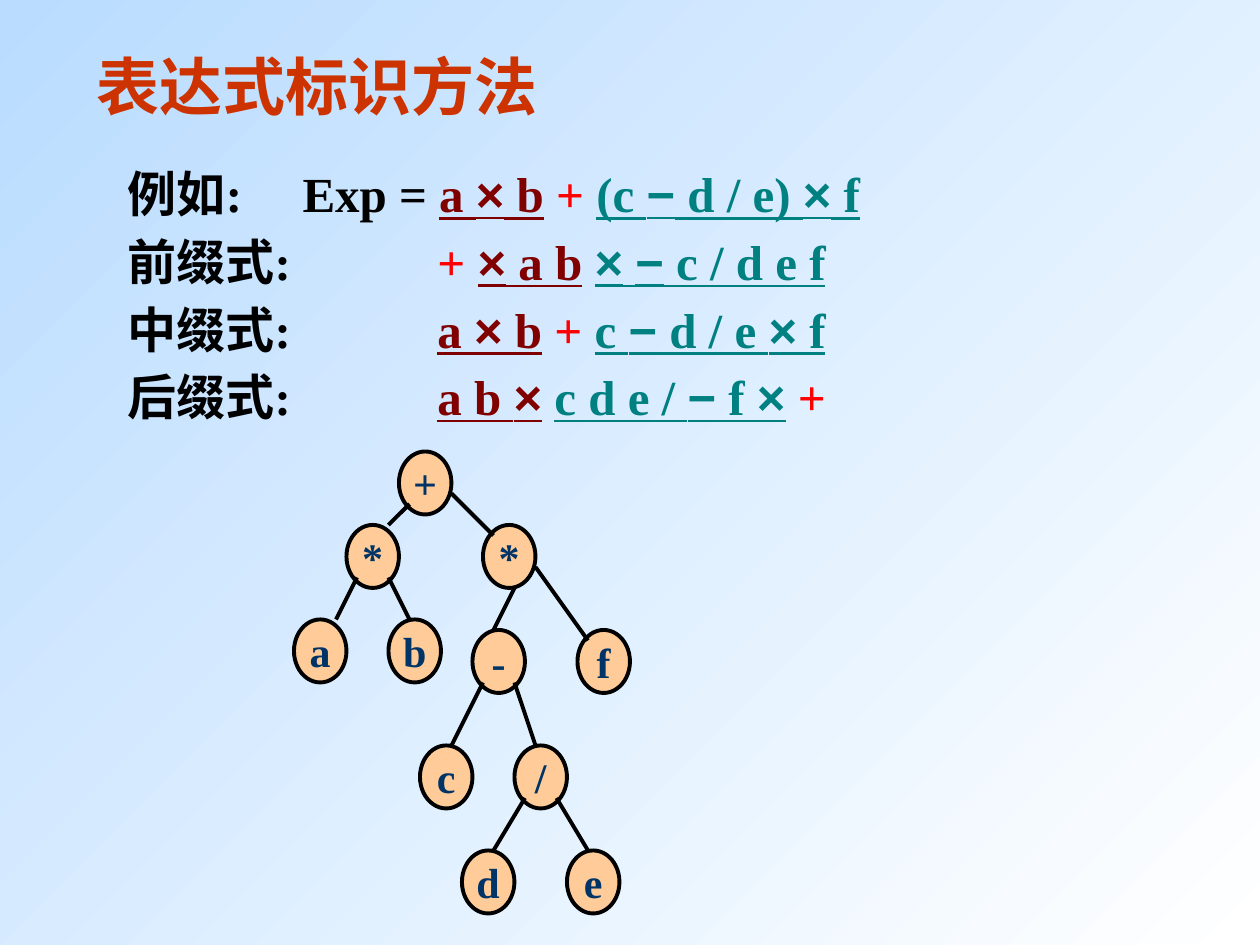
from itertools import groupby

from lxml import etree
from pptx import Presentation
from pptx import util as u
from pptx.dml.color import RGBColor
from pptx.enum import shapes, text
from pptx.oxml.ns import qn

HUES = {
    "ink": "000000", "title": "CC3300", "left": "800000", "right": "008080",
    "root": "FF0000", "node": "FFCC99", "label": "003366",
    "white": "FFFFFF", "sky": "B9DCFF",
}
SERIF, SANS = "Times New Roman", "Arial"
SIGNS = "×−"

# Each row: tab stop in cm, then (text, colour) spans
ROWS = [
    (3.52, [("例如:\tExp = ", "ink"), ("a × b", "left"), (" ", "ink"),
            ("+ ", "root"), ("(c − d / e) × f", "right")]),
    (6.24, [("前缀式:\t", "ink"), ("+ ", "root"), ("× a b", "left"),
            (" ", "ink"), ("× − c / d e f", "right")]),
    (6.24, [("中缀式:\t", "ink"), ("a × b", "left"), (" ", "ink"),
            ("+ ", "root"), ("c − d / e × f", "right")]),
    (6.24, [("后缀式:\t", "ink"), ("a b ×", "left"), (" ", "ink"),
            ("c d e / − f ×", "right"), (" ", "ink"), ("+", "root")]),
]

# The tree sits on a grid of twelfths of an inch
NODES = [
    ("+", 38, 43), ("*", 33, 50), ("*", 46, 50), ("a", 28, 59), ("b", 37, 59),
    ("-", 45, 60), ("f", 55, 60), ("c", 40, 71), ("/", 49, 71),
    ("d", 44, 81), ("e", 54, 81),
]
EDGES = [
    (39, 48, 37, 50), (43, 47, 47, 51), (34, 55, 32, 59), (37, 55, 39, 59),
    (49, 56, 47, 60), (51, 54, 56, 61), (46, 65, 43, 71), (49, 65, 51, 71),
    (50, 76, 47, 81), (53, 76, 56, 81),
]


def hue(key):
    return RGBColor.from_string(HUES[key])


def grid(*steps):
    """Turn grid steps into lengths."""
    return [u.Cm(2.54 * n / 12) for n in steps]


def add_run(para, words, key, size, face=SERIF, under=None):
    run = para.add_run()
    run.text = words
    font = run.font
    font.name, font.size, font.bold = face, u.Pt(size), True
    font.underline = under
    font.color.rgb = hue(key)


def add_span(para, words, key):
    """Add words in one colour, with the math signs in the sans face."""
    under = True if key in ("left", "right") else None
    for sign, part in groupby(words, lambda c: c in SIGNS):
        add_run(para, "".join(part), key, 28, SANS if sign else SERIF, under)


def add_tab(para, stop):
    tabs = etree.SubElement(para._p.get_or_add_pPr(), qn("a:tabLst"))
    etree.SubElement(tabs, qn("a:tab"), pos=str(u.Cm(stop)), algn="l")


def add_box(slide, left, top, wide, high, wrap):
    box = slide.shapes.add_textbox(*map(u.Cm, (left, top, wide, high)))
    frame = box.text_frame
    frame.word_wrap = wrap
    frame.auto_size = text.MSO_AUTO_SIZE.SHAPE_TO_FIT_TEXT
    return frame


def add_rows(slide):
    frame = add_box(slide, 2.33, 3.18, 19.97, 5.53, True)
    for i, (stop, spans) in enumerate(ROWS):
        para = frame.add_paragraph() if i else frame.paragraphs[0]
        add_tab(para, stop)
        if i:
            para.line_spacing = 1.15
        for words, key in spans:
            add_span(para, words, key)


def add_node(tree, label, left, top):
    node = tree.shapes.add_shape(
        shapes.MSO_SHAPE.OVAL, *grid(left, top, 5, 6))
    node.shadow.inherit = False
    node.fill.solid()
    node.fill.fore_color.rgb = hue("node")
    node.line.color.rgb = hue("ink")
    node.line.width = u.Pt(2.25)
    frame = node.text_frame
    frame.word_wrap = False
    frame.vertical_anchor = text.MSO_ANCHOR.MIDDLE
    para = frame.paragraphs[0]
    para.alignment = text.PP_ALIGN.CENTER
    add_run(para, label, "label", 24)


def add_edge(tree, *ends):
    edge = tree.shapes.add_connector(
        shapes.MSO_CONNECTOR.STRAIGHT, *grid(*ends))
    edge.line.color.rgb = hue("ink")
    edge.line.width = u.Pt(2.25)
    etree.SubElement(edge._element.spPr, qn("a:effectLst"))


def set_back(slide):
    fill = slide.background.fill
    fill.gradient()
    fill.gradient_angle = 135
    for stop, key in zip(fill.gradient_stops, ("white", "sky")):
        stop.color.rgb = hue(key)


def main():
    deck = Presentation()
    deck.slide_width, deck.slide_height = u.Cm(25.4), u.Cm(19.05)
    slide = deck.slides.add_slide(deck.slide_layouts[6])
    set_back(slide)
    add_rows(slide)
    title = add_box(slide, 1.7, 0.84, 9.4, 1.78, False)
    add_run(title.paragraphs[0], "表达式标识方法", "title", 36)
    tree = slide.shapes.add_group_shape()
    for node in NODES:
        add_node(tree, *node)
    for edge in EDGES:
        add_edge(tree, *edge)
    deck.save("out.pptx")


if __name__ == "__main__":
    main()
